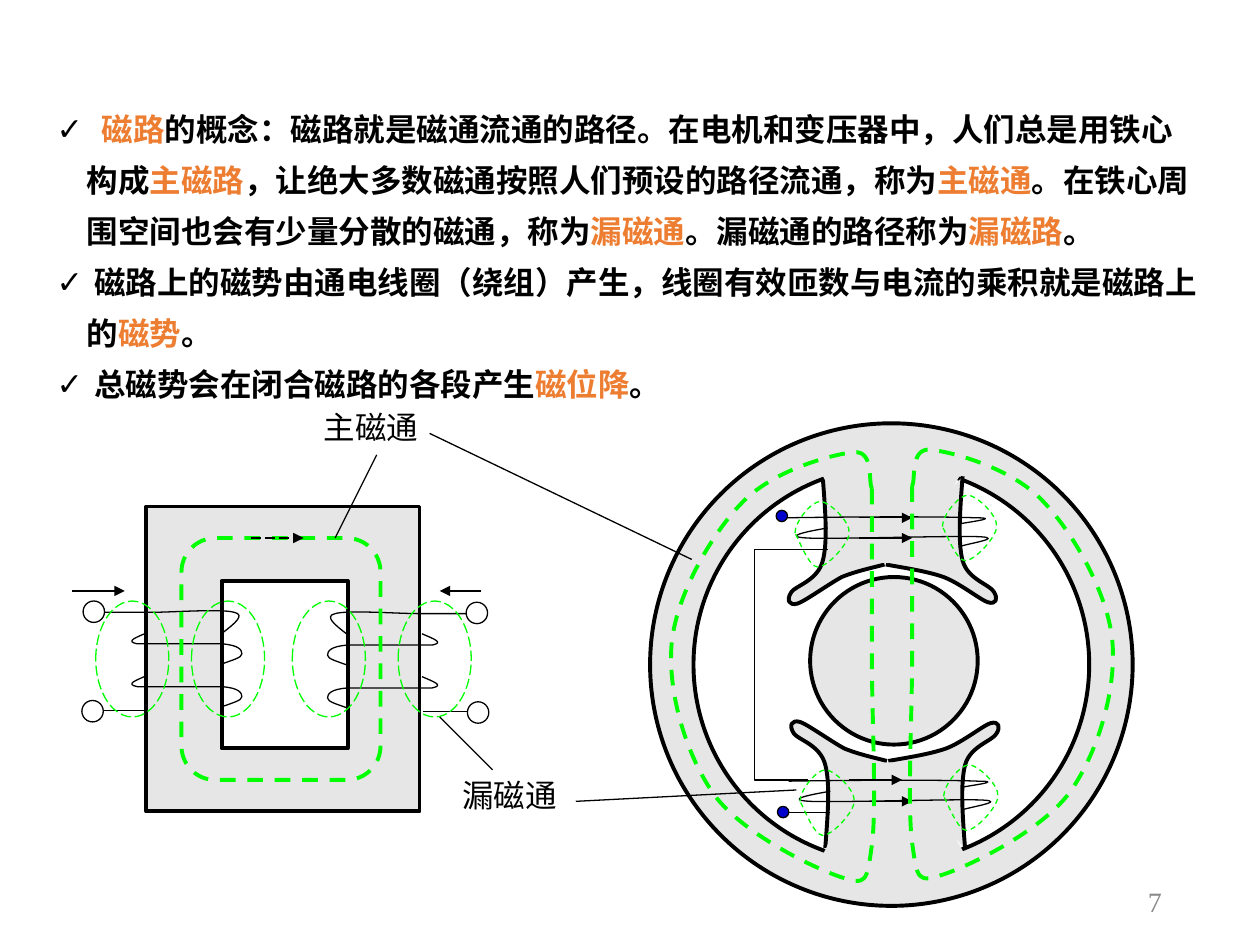
import dataclasses

import pptx
import pptx.dml.color
import pptx.enum.dml
import pptx.enum.shapes
import pptx.enum.text
import pptx.oxml
import pptx.oxml.ns
import pptx.util

Inches, Pt = pptx.util.Inches, pptx.util.Pt
qn = pptx.oxml.ns.qn
SHAPE = pptx.enum.shapes.MSO_SHAPE
DASH = pptx.enum.dml.MSO_LINE.DASH
LONG_DASH = pptx.enum.dml.MSO_LINE.LONG_DASH
TEXT = pptx.enum.text


@dataclasses.dataclass(frozen=True)
class Theme:
    font: str = "Times New Roman"
    black: str = "000000"
    white: str = "FFFFFF"
    accent: str = "ED7D31"
    iron: str = "E7E6E6"
    flux: str = "00FF00"
    terminal: str = "0000CC"
    muted: str = "898989"
    text_size: float = 18
    number_size: float = 16
    thick: float = 2.25
    thin: float = 0.75


T = Theme()

# Text between bars is highlighted
POINTS = [
    " |磁路|的概念：磁路就是磁通流通的路径。在电机和变压器中，人们总是用铁心构成|主磁路"
    "|，让绝大多数磁通按照人们预设的路径流通，称为|主磁通|。在铁心周围空间也会有少量分散的磁通，"
    "称为|漏磁通|。漏磁通的路径称为|漏磁路|。",
    " 磁路上的磁势由通电线圈（绕组）产生，线圈有效匝数与电流的乘积就是磁路上的|磁势|。",
    " 总磁势会在闭合磁路的各段产生|磁位降|。",
]

# Paths: a start point, then lines (x, y) or cubic curves (x1, y1, x2, y2, x, y)
LEAD_IN = [(0.77, 4.86), (0.89, 4.86, 1.01, 4.86, 1.19, 4.86),
           (1.37, 4.86, 1.76, 4.83, 1.86, 4.86), (1.95, 4.88, 1.86, 4.95, 1.77, 5.02)]
TURN = [(1.17, 5.02), (1.08, 5.06, 0.99, 5.09, 1.09, 5.11), (1.76, 5.11),
        (1.9, 5.12, 1.92, 5.16, 1.92, 5.19), (1.92, 5.22, 1.84, 5.24, 1.76, 5.27)]
SHOE_LEFT = [(6.53, 3.79), (6.55, 4.05, 6.57, 4.3, 6.53, 4.45),
             (6.49, 4.61, 6.31, 4.65, 6.28, 4.7), (6.24, 4.76, 6.26, 4.81, 6.33, 4.79),
             (6.39, 4.77, 6.57, 4.64, 6.68, 4.58), (6.8, 4.53, 6.95, 4.5, 7.02, 4.48)]
SHOE_RIGHT = [(7.64, 3.78), (7.62, 4.04, 7.6, 4.3, 7.64, 4.45),
              (7.68, 4.6, 7.86, 4.64, 7.89, 4.7), (7.92, 4.75, 7.91, 4.8, 7.84, 4.78),
              (7.78, 4.76, 7.62, 4.63, 7.49, 4.58), (7.35, 4.53, 7.13, 4.5, 7.03, 4.48)]
POLE_BODY = [(6.49, 3.69), (6.58, 3.88, 6.67, 4.06, 6.74, 4.19),
             (6.81, 4.31, 6.83, 4.41, 6.91, 4.44), (6.99, 4.47, 7.1, 4.51, 7.24, 4.37),
             (7.37, 4.23, 7.62, 3.76, 7.72, 3.6)]
POLE_TURNS = [
    [(6.24, 4.11), (6.87, 4.1, 7.51, 4.1, 7.74, 4.11), (7.97, 4.11, 7.64, 4.15, 7.61, 4.16)],
    [(6.57, 4.19), (6.39, 4.22, 6.21, 4.26, 6.41, 4.27),
     (6.61, 4.28, 7.58, 4.25, 7.78, 4.26), (7.98, 4.27, 7.65, 4.32, 7.61, 4.34)],
]
POLE_LINK = [(6.41, 6.19), (5.99, 6.19), (5.99, 4.36), (6.24, 4.36)]
MAIN_LOOP = [(7.24, 3.86), (7.24, 4.12, 7.24, 4.72, 7.24, 5.19),
             (7.24, 5.66, 7.2, 6.4, 7.24, 6.69), (7.28, 6.98, 7.28, 7.01, 7.49, 6.94),
             (7.7, 6.87, 8.26, 6.6, 8.49, 6.29), (8.71, 5.98, 8.86, 5.49, 8.83, 5.1),
             (8.8, 4.72, 8.52, 4.23, 8.28, 3.98), (8.04, 3.72, 7.57, 3.59, 7.39, 3.57),
             (7.22, 3.55, 7.27, 3.8, 7.24, 3.86)]
LEAK_LOOP = [(7.49, 6.32), (7.49, 6.23, 7.62, 6.07, 7.69, 6.07),
             (7.76, 6.07, 7.93, 6.23, 7.92, 6.32), (7.92, 6.4, 7.75, 6.59, 7.67, 6.59),
             (7.6, 6.59, 7.52, 6.37, 7.49, 6.32)]


def rgb(color):
    return pptx.dml.color.RGBColor.from_string(color)


def set_all(obj, **values):
    for name, value in values.items():
        setattr(obj, name, value)


def move(path, dx=0, dy=0, sx=1, sy=1):
    """Scale a path by sx, sy (-1 mirrors), then shift it."""
    return [tuple(v * sy + dy if i % 2 else v * sx + dx for i, v in enumerate(seg))
            for seg in path]


def style(sp, fill=None, line=T.black, width=T.thin, dash=None):
    sp.shadow.inherit = False
    if fill:
        sp.fill.solid()
        sp.fill.fore_color.rgb = rgb(fill)
    else:
        sp.fill.background()
    if line:
        sp.line.color.rgb = rgb(line)
        set_all(sp.line, width=Pt(width), dash_style=dash)
    else:
        sp.line.fill.background()


def preset(s, kind, box, adjust=None, **look):
    sp = s.shapes.add_shape(kind, *map(Inches, box))
    if adjust is not None:
        sp.adjustments[0] = adjust
    style(sp, **look)


def curve(s, path, **look):
    points = [(Inches(x), Inches(y)) for seg in path for x, y in zip(seg[::2], seg[1::2])]
    fb = s.shapes.build_freeform(*points[0])
    fb.add_line_segments(points[1:], close=path[0] == path[-1][-2:])
    sp = fb.convert_to_shape()
    # Join each three control points into one cubic curve
    steps = iter(list(sp._element.iter(qn("a:lnTo"))))
    for seg in path[1:]:
        first = next(steps)
        if len(seg) == 6:
            cubic = first.makeelement(qn("a:cubicBezTo"), {})
            first.addprevious(cubic)
            for step in (first, next(steps), next(steps)):
                cubic.append(step[0])
                step.getparent().remove(step)
    style(sp, **look)


def line(s, x1, y1, x2, y2, arrow=False, dash=None):
    cx = s.shapes.add_connector(pptx.enum.shapes.MSO_CONNECTOR.STRAIGHT,
                                *map(Inches, (x1, y1, x2, y2)))
    cx.line.color.rgb = rgb(T.black)
    set_all(cx.line, width=Pt(T.thin), dash_style=dash)
    sp_pr = cx._element.spPr
    if arrow:
        ln = sp_pr.get_or_add_ln()
        ln.append(ln.makeelement(qn("a:tailEnd"), {"type": "triangle"}))
    sp_pr.append(sp_pr.makeelement(qn("a:effectLst"), {}))


def add_run(p, text, color=T.black, size=T.text_size, bold=False):
    r = p.add_run()
    r.text = text
    set_all(r.font, name=T.font, size=Pt(size), bold=bold)
    r.font.color.rgb = rgb(color)
    return r


def label(s, box, text, anchor=TEXT.MSO_ANCHOR.TOP, align=TEXT.PP_ALIGN.LEFT, **look):
    tf = s.shapes.add_textbox(*map(Inches, box)).text_frame
    set_all(tf, word_wrap=True, vertical_anchor=anchor)
    tf.paragraphs[0].alignment = align
    add_run(tf.paragraphs[0], text, **look)


def bullet_list(sp, box, items):
    set_all(sp, **dict(zip(("left", "top", "width", "height"), map(Inches, box))))
    tf = sp.text_frame
    set_all(tf, word_wrap=True, auto_size=TEXT.MSO_AUTO_SIZE.NONE,
            vertical_anchor=TEXT.MSO_ANCHOR.TOP)
    for i, item in enumerate(items):
        p = tf.add_paragraph() if i else tf.paragraphs[0]
        p_pr = p._p.get_or_add_pPr()
        set_all(p, line_spacing=1.35, space_before=Pt(0), alignment=TEXT.PP_ALIGN.LEFT)
        p_pr.set("marL", str(Inches(0.24)))
        p_pr.set("indent", str(-Inches(0.24)))
        p_pr.append(pptx.oxml.parse_xml(f'<a:buClr {pptx.oxml.ns.nsdecls("a")}>'
                                        f'<a:srgbClr val="{T.black}"/></a:buClr>'))
        p_pr.append(p_pr.makeelement(qn("a:buChar"), {"char": "✓"}))
        for j, text in enumerate(item.split("|")):
            r = add_run(p, text, T.accent if j % 2 else T.black, bold=True)
            if text == " ":  # wider gap after the first bullet
                r._r.get_or_add_rPr().set("spc", "450")


def transformer(s):
    # Core with window
    preset(s, SHAPE.RECTANGLE, (1.16, 4.02, 2.17, 2.42), fill=T.iron, width=T.thick)
    preset(s, SHAPE.RECTANGLE, (1.76, 4.61, 1, 1.33), fill=T.white, width=T.thick)
    # Left winding and its mirror image
    for place in ({}, {"sx": -1, "dx": 4.52, "dy": 0.01}):
        for path in (LEAD_IN, TURN, move(TURN, dy=0.34)):
            curve(s, move(path, **place))
        (x1, y1), (x2, y2) = move([(1.16, 5.64), (0.66, 5.64)], **place)
        line(s, x1, y1, x2, y2)
        for cx, cy in move([(0.74, 4.85), (0.73, 5.64)], **place):
            preset(s, SHAPE.OVAL, (cx - 0.08, cy - 0.08, 0.17, 0.17), fill=T.white)
    line(s, 0.57, 4.69, 0.99, 4.69, arrow=True)
    line(s, 3.82, 4.69, 3.49, 4.69, arrow=True)
    # Main and leakage flux
    preset(s, SHAPE.ROUNDED_RECTANGLE, (1.44, 4.27, 1.58, 1.92), adjust=0.17,
           line=T.flux, width=T.thick, dash=DASH)
    line(s, 1.99, 4.27, 2.41, 4.27, arrow=True, dash=LONG_DASH)
    for x in (1.52, 0.76, 2.32, 3.16):
        preset(s, SHAPE.OVAL, (x, 4.77, 0.58, 0.92), line=T.flux, dash=LONG_DASH)


def motor(s):
    # Yoke and rotor
    preset(s, SHAPE.DONUT, (5.16, 3.36, 3.83, 3.83), adjust=0.09, fill=T.iron, width=T.thick)
    preset(s, SHAPE.OVAL, (6.43, 4.58, 1.33, 1.33), fill=T.iron, width=T.thick)
    # Upper pole and its mirror image
    for place in ({}, {"dx": 0.02, "sy": -1, "dy": 10.52}):
        for shoe in (SHOE_LEFT, SHOE_RIGHT):
            curve(s, move(shoe, **place), fill=T.iron, width=T.thick)
        curve(s, move(POLE_BODY, **place), fill=T.iron, line=None)
    # Pole windings
    for dx, dy, dot in ((0, 0, (6.16, 4.05)), (0.02, 2.09, (6.17, 6.4))):
        for path in POLE_TURNS:
            curve(s, move(path, dx, dy))
        line(s, 6.57 + dx, 4.36 + dy, 6.24 + dx, 4.36 + dy)
        preset(s, SHAPE.OVAL, (*dot, 0.09, 0.09), fill=T.terminal)
    curve(s, POLE_LINK)
    for x, y in ((6.82, 4.11), (6.82, 4.27), (6.74, 6.19), (6.82, 6.36)):
        line(s, x, y, x + 0.42, y, arrow=True)
    # Main and leakage flux
    for path in (MAIN_LOOP, move(MAIN_LOOP, sx=-1, dx=14.16, dy=0.02)):
        curve(s, path, line=T.flux, width=T.thick, dash=DASH)
    for dx, dy in ((0, 0), (-1.14, 0.04), (-1.18, -2.09), (-0.01, -2.14)):
        curve(s, move(LEAK_LOOP, dx, dy), line=T.flux, dash=DASH)


def main():
    prs = pptx.Presentation()
    set_all(prs, slide_width=Inches(10), slide_height=Inches(7.5))
    s = prs.slides.add_slide(prs.slide_layouts[1])
    title, body = s.placeholders
    title._element.getparent().remove(title._element)

    transformer(s)
    motor(s)
    # Labels with leader lines
    label(s, (2.47, 3.19, 1.1, 0.4), "主磁通")
    label(s, (3.57, 6.11, 1.1, 0.4), "漏磁通")
    for ends in ((2.66, 4.27, 2.99, 3.61), (3.41, 3.44, 5.49, 4.44),
                 (3.49, 5.69, 3.91, 6.11), (6.32, 6.27, 4.57, 6.36)):
        line(s, *ends)
    # Text and page number
    bullet_list(body, (0.35, 0.72, 9.29, 2.53), POINTS)
    label(s, (7.07, 6.95, 2.25, 0.4), "7", TEXT.MSO_ANCHOR.MIDDLE, TEXT.PP_ALIGN.RIGHT,
          color=T.muted, size=T.number_size)
    prs.save("out.pptx")


if __name__ == "__main__":
    main()
